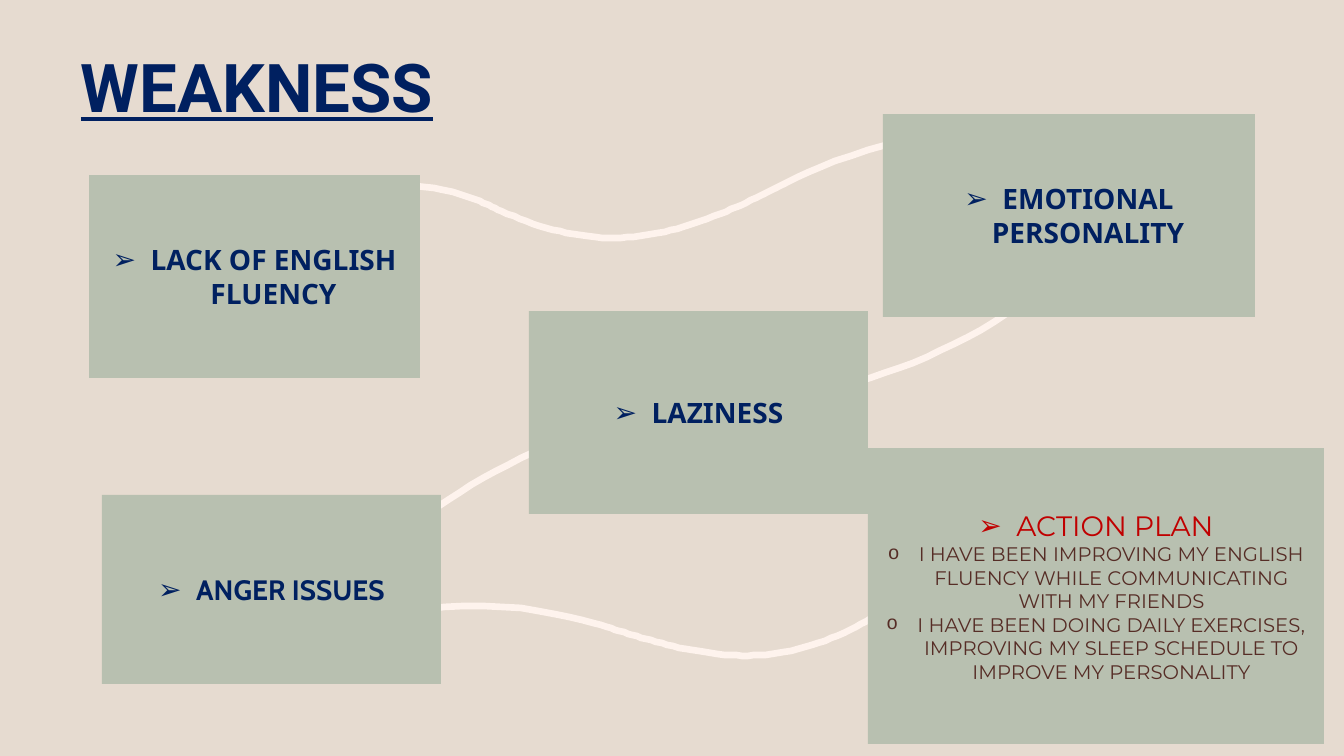
from lxml import etree
from pptx import Presentation
from pptx.dml.color import RGBColor
from pptx.enum.shapes import MSO_SHAPE
from pptx.enum.text import MSO_ANCHOR, PP_ALIGN
from pptx.oxml.ns import qn
from pptx.util import Pt

SCALE = 12192000 / 1344
NAVY, RED, BROWN = "002060", "C00000", "562D26"
SAND, SAGE, CREAM = "E6DBD0", "B8C0B0", "FEF3ED"

ARROW = ("➢", "Arial", 38)
CIRCLE = ("o", "Courier New", 31)

CURVES = [
    [(840, 386), (920, 366), (993, 330), (1055, 277)],
    [(589, 431), (513, 456), (449, 494), (392, 543)],
    [(309, 225), (353, 188), (401, 178), (453, 192), (470, 196), (485, 203), (501, 211),
     (534, 226), (570, 237), (609, 238), (642, 238), (675, 231), (707, 219),
     (743, 205), (763, 195), (784, 184), (808, 172), (948, 104), (1035, 147)],
    [(927, 584), (911, 591), (898, 600), (884, 610), (855, 630), (822, 645), (784, 652),
     (752, 658), (720, 656), (686, 649), (650, 641), (629, 634), (607, 627),
     (583, 620), (438, 575), (350, 641)],
]

WEAKNESSES = [
    ((89, 175, 331, 203), "LACK OF ENGLISH FLUENCY", "Noto Sans"),
    ((102, 495, 339, 189), "ANGER ISSUES", "Cabin"),
    ((883, 114, 372, 203), "EMOTIONAL PERSONALITY", "Noto Sans"),
    ((529, 311, 339, 203), "LAZINESS", "Noto Sans"),
]

ACTIONS = [
    "I HAVE BEEN IMPROVING MY ENGLISH FLUENCY WHILE COMMUNICATING WITH MY FRIENDS",
    "I HAVE BEEN DOING DAILY EXERCISES, IMPROVING MY SLEEP SCHEDULE TO IMPROVE MY PERSONALITY",
]


def px(length):
    return round(length * SCALE)


def color(value):
    return RGBColor.from_string(value)


def style(paragraph, font_name, size, ink, bold=False, underline=False):
    font = paragraph.font if not paragraph.runs else paragraph.runs[0].font
    font.name, font.size = font_name, Pt(size)
    font.bold, font.underline = bold, underline
    font.color.rgb = color(ink)


def add_bullet(paragraph, bullet):
    character, font_name, indent = bullet
    properties = paragraph._p.get_or_add_pPr()
    properties.set("marL", str(px(indent)))
    properties.set("indent", str(-px(indent)))
    etree.SubElement(properties, qn("a:buFont")).set("typeface", font_name)
    etree.SubElement(properties, qn("a:buChar")).set("char", character)


def add_curve(slide, points, steps=16):
    builder = slide.shapes.build_freeform(*points[0], scale=SCALE)
    vertices = []
    for first in range(0, len(points) - 1, 3):
        segment = points[first:first + 4]
        for step in range(1, steps + 1):
            t = step / steps
            weights = ((1 - t) ** 3, 3 * t * (1 - t) ** 2, 3 * t * t * (1 - t), t ** 3)
            vertices.append(tuple(
                sum(weight * point[axis] for weight, point in zip(weights, segment))
                for axis in (0, 1)))
    builder.add_line_segments(vertices, close=False)
    shape = builder.convert_to_shape()
    shape.shadow.inherit = False
    shape.fill.background()
    shape.line.color.rgb = color(CREAM)
    shape.line.width = Pt(4.75)


def add_title(slide, box, text):
    shape = slide.shapes.add_textbox(*map(px, box))
    text_frame = shape.text_frame
    text_frame.word_wrap = True
    text_frame.vertical_anchor = MSO_ANCHOR.MIDDLE
    text_frame.text = text
    paragraph = text_frame.paragraphs[0]
    paragraph.line_spacing = 0.9
    style(paragraph, "Roboto", 48, NAVY, bold=True, underline=True)


def add_card(slide, box, entries):
    shape = slide.shapes.add_shape(MSO_SHAPE.RECTANGLE, *map(px, box))
    shape.shadow.inherit = False
    shape.fill.solid()
    shape.fill.fore_color.rgb = color(SAGE)
    shape.line.fill.background()
    text_frame = shape.text_frame
    text_frame.word_wrap = True
    text_frame.vertical_anchor = MSO_ANCHOR.MIDDLE
    text_frame.text = "\n".join(text for text, *_ in entries)
    for paragraph, (_, bullet, *look) in zip(text_frame.paragraphs, entries):
        paragraph.alignment = PP_ALIGN.CENTER
        add_bullet(paragraph, bullet)
        style(paragraph, *look)


def build_weakness_slide(presentation):
    slide = presentation.slides.add_slide(presentation.slide_layouts[6])
    slide.background.fill.solid()
    slide.background.fill.fore_color.rgb = color(SAND)
    for points in CURVES:
        add_curve(slide, points)
    add_title(slide, (71, 53, 1008, 75), "WEAKNESS")
    for box, text, font_name in WEAKNESSES:
        add_card(slide, box, [(text, ARROW, font_name, 20, NAVY, True)])
    plan = [("ACTION PLAN", ARROW, "Montserrat", 20, RED)]
    plan += [(action, CIRCLE, "Montserrat", 14, BROWN) for action in ACTIONS]
    add_card(slide, (868, 448, 456, 296), plan)


def main():
    presentation = Presentation()
    presentation.slide_width, presentation.slide_height = px(1344), px(756)
    build_weakness_slide(presentation)
    presentation.save("out.pptx")


if __name__ == "__main__":
    main()
